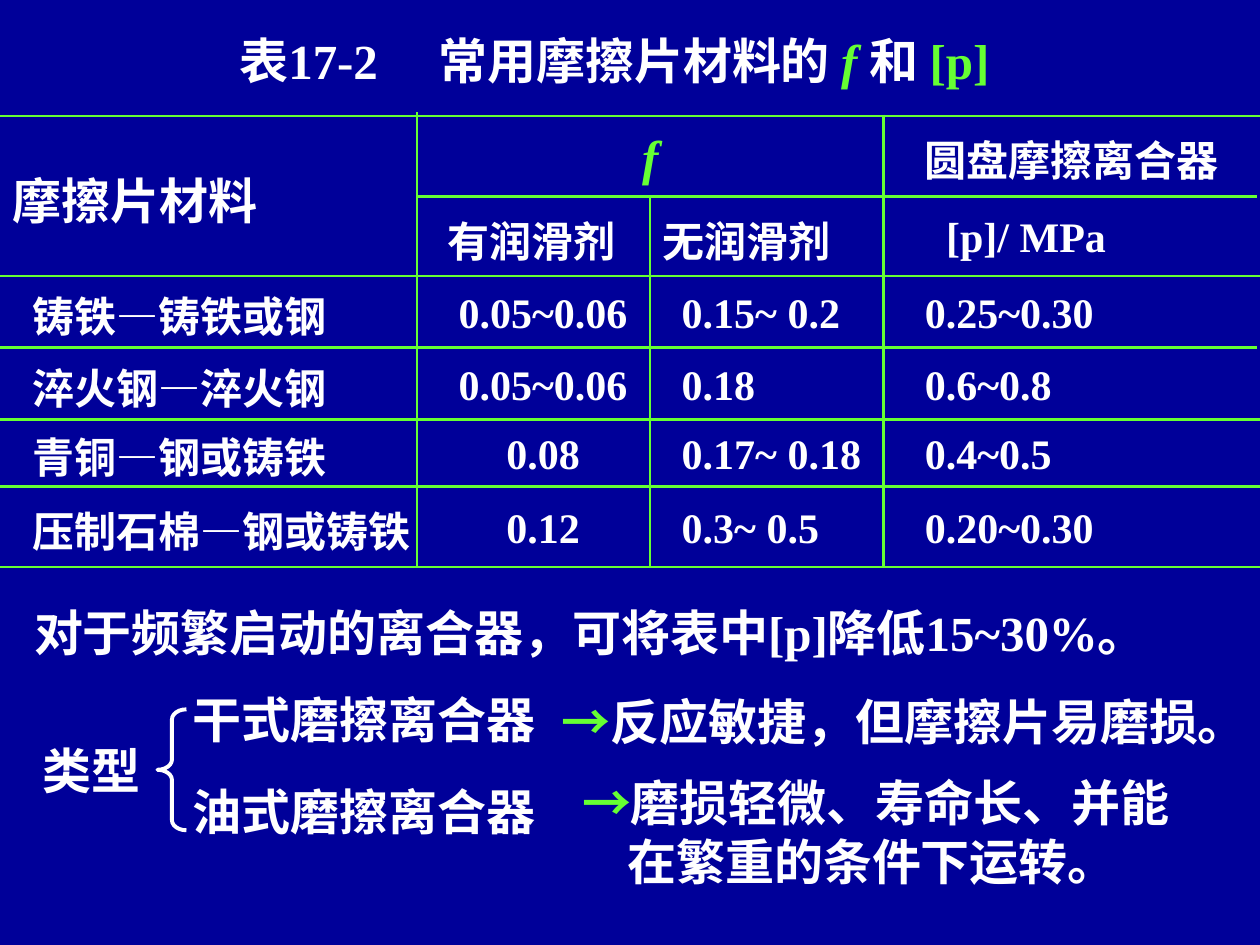
from lxml.etree import SubElement
from pptx import Presentation
from pptx.dml.color import RGBColor
from pptx.enum.shapes import MSO_CONNECTOR as Connector, MSO_SHAPE as Shape
from pptx.enum.text import MSO_ANCHOR as Anchor, MSO_AUTO_SIZE as AutoSize, PP_ALIGN as Align
from pptx.oxml.ns import qn
from pptx.util import Inches, Pt

NAVY, GREEN, WHITE = "000099", "66FF33", "FFFFFF"
SERIF, SANS = "Times New Roman", "Noto Sans CJK SC"

# Content: each span is (text, colour, italic)
TITLE = [("表17-2\t常用摩擦片材料的 ", WHITE, False), ("f ", GREEN, True),
         ("和 ", WHITE, False), ("[p]", GREEN, False)]
ROWS = [
    ("摩擦片材料", "f", "", "圆盘摩擦离合器"),
    ("", "有润滑剂", "无润滑剂", "[p]/ MPa"),
    ("铸铁—铸铁或钢", "0.05~0.06", "0.15~ 0.2", "0.25~0.30"),
    ("淬火钢—淬火钢", "0.05~0.06", "0.18", "0.6~0.8"),
    ("青铜—钢或铸铁", "0.08", "0.17~ 0.18", "0.4~0.5"),
    ("压制石棉—钢或铸铁", "0.12", "0.3~ 0.5", "0.20~0.30"),
]
COLUMN_EDGES = [0, 3.31, 5.16, 7.01, 10]
ROW_EDGES = [0.92, 1.56, 2.19, 2.76, 3.33, 3.86, 4.5]
BODY_MARGINS = [0.26, 0.15, 0.25, 0.33]
HEADER_MARGINS = {(0, 0): 0.1, (0, 1): 0, (1, 1): 0.24, (1, 2): 0.1, (1, 3): 0.5}
MERGES = [((0, 0), (1, 0)), ((0, 1), (0, 2))]

# Table rules that do not span the whole table: edge -> (start, end)
SHORT_ROW_RULES = {1.56: (3.31, 9.98), 2.76: (-0.02, 9.98)}
COLUMN_RULES = {3.31: (0.89, 4.5), 5.16: (1.56, 4.5), 7.01: (0.91, 4.49)}

# Notes: left, top, width, height, font, paragraphs of spans
NOTES = [
    (0.27, 4.78, 9.31, 0.47, SERIF,
     [[("对于频繁启动的离合器，可将表中[p]降低15~30%。", WHITE, False)]]),
    (0.34, 5.88, 1.41, 0.47, SANS, [[("类型", WHITE, False)]]),
    (1.53, 5.47, 2.72, 0.47, SERIF, [[("干式磨擦离合器", WHITE, False)]]),
    (1.53, 6.2, 2.72, 0.47, SERIF, [[("油式磨擦离合器", WHITE, False)]]),
    (4.46, 5.49, 5.43, 0.47, SERIF,
     [[("→", GREEN, False), ("反应敏捷，但摩擦片易磨损。", WHITE, False)]]),
    (4.62, 6.13, 4.77, 0.94, SERIF,
     [[("→", GREEN, False), ("磨损轻微、寿命长、并能", WHITE, False)],
      [("在繁重的条件下运转。", WHITE, False)]]),
]
CONTINUATION_INDENT = 0.36
FRAME_FORMAT = dict(margin_left=0, margin_right=0, margin_top=0, margin_bottom=0,
                    word_wrap=False, auto_size=AutoSize.NONE, vertical_anchor=Anchor.TOP)


def color(value):
    return RGBColor.from_string(value)


def apply(target, values):
    for name, value in values.items():
        setattr(target, name, value)


def place(box, left, top, width, height):
    apply(box, dict(left=Inches(left), top=Inches(top),
                    width=Inches(width), height=Inches(height)))


def add_spans(para, spans, size=28, font=SERIF):
    for text, shade, italic in spans:
        span = para.add_run()
        span.text = text
        apply(span.font, dict(name=font, size=Pt(size), bold=True, italic=italic))
        span.font.color.rgb = color(shade)
        SubElement(span.font._element, qn("a:ea"), typeface=SANS)


def clear_borders(cell):
    properties = cell._tc.get_or_add_tcPr()
    for side in "LRTB":
        SubElement(SubElement(properties, qn(f"a:ln{side}")), qn("a:noFill"))


def add_rule(page, x1, y1, x2, y2):
    rule = page.shapes.add_connector(Connector.STRAIGHT, Inches(x1), Inches(y1),
                                     Inches(x2), Inches(y2))
    rule.line.color.rgb = color(GREEN)
    rule.line.width = Pt(1.5)
    SubElement(rule._element.spPr, qn("a:effectLst"))


def gaps(edges):
    return [end - start for start, end in zip(edges, edges[1:])]


def add_materials_table(page):
    frame = page.shapes.add_table(len(ROWS), len(COLUMN_EDGES) - 1, 0, Inches(ROW_EDGES[0]),
                                  Inches(10), Inches(ROW_EDGES[-1] - ROW_EDGES[0]))
    table = frame.table
    apply(table, dict(first_row=False, horz_banding=False))
    for column, width in zip(table.columns, gaps(COLUMN_EDGES)):
        column.width = Inches(width)
    for row, height in zip(table.rows, gaps(ROW_EDGES)):
        row.height = Inches(height)
    for start, end in MERGES:
        table.cell(*start).merge(table.cell(*end))

    for r, texts in enumerate(ROWS):
        for c, text in enumerate(texts):
            cell = table.cell(r, c)
            clear_borders(cell)
            cell.fill.background()
            margin = HEADER_MARGINS.get((r, c), BODY_MARGINS[c])
            apply(cell, dict(margin_left=Inches(margin), margin_right=0,
                             margin_top=Inches(0.04), margin_bottom=0,
                             vertical_anchor=Anchor.MIDDLE))
            para = cell.text_frame.paragraphs[0]
            centred = text == "f" or (c == 1 and r > 1)
            para.alignment = Align.CENTER if centred else Align.LEFT
            if text:
                symbol = text == "f"
                size = 28 if symbol or (r, c) == (0, 0) else 24
                add_spans(para, [(text, GREEN if symbol else WHITE, symbol)], size)

    # Rules between rows and columns
    for y in ROW_EDGES:
        start, end = SHORT_ROW_RULES.get(y, (0, 10))
        add_rule(page, start, y, end, y)
    for x, (start, end) in COLUMN_RULES.items():
        add_rule(page, x, start, x, end)


def main():
    deck = Presentation()
    deck.slide_width, deck.slide_height = Inches(10), Inches(7.5)
    page = deck.slides.add_slide(deck.slide_layouts[5])
    page.background.fill.solid()
    page.background.fill.fore_color.rgb = color(NAVY)

    # Title
    title = page.shapes.title
    place(title, 1.9, 0.24, 6.7, 0.47)
    apply(title.text_frame, FRAME_FORMAT)
    para = title.text_frame.paragraphs[0]
    para.alignment = Align.LEFT
    tabs = SubElement(para._p.get_or_add_pPr(), qn("a:tabLst"))
    SubElement(tabs, qn("a:tab"), pos=str(Inches(1.58)), algn="l")
    add_spans(para, TITLE)

    add_materials_table(page)

    # Notes and clutch types
    for left, top, width, height, font, paragraphs in NOTES:
        box = page.shapes.add_textbox(0, 0, 0, 0)
        place(box, left, top, width, height)
        frame = box.text_frame
        apply(frame, FRAME_FORMAT)
        for index, spans in enumerate(paragraphs):
            para = frame.add_paragraph() if index else frame.paragraphs[0]
            if index:
                para._p.get_or_add_pPr().set("marL", str(Inches(CONTINUATION_INDENT)))
            add_spans(para, spans, font=font)

    # Brace joining the two types
    brace = page.shapes.add_shape(Shape.LEFT_BRACE, Inches(1.25), Inches(5.63),
                                  Inches(0.23), Inches(0.96))
    brace.adjustments[0] = 0.35
    brace.shadow.inherit = False
    brace.fill.background()
    brace.line.color.rgb = color(WHITE)
    brace.line.width = Pt(2.25)

    deck.save("out.pptx")


if __name__ == "__main__":
    main()
